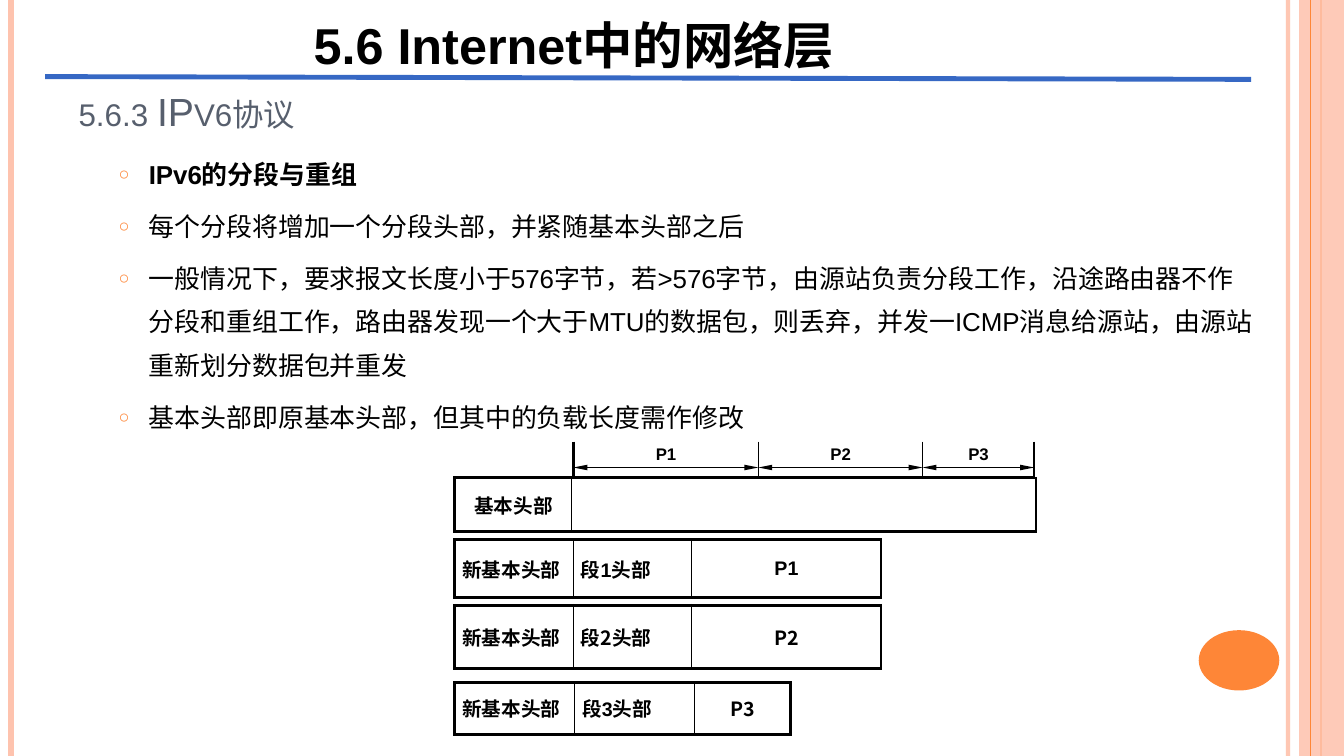
from pptx import Presentation
from pptx.dml.color import RGBColor
from pptx.enum.shapes import MSO_CONNECTOR, MSO_SHAPE
from pptx.enum.text import MSO_ANCHOR as Anchor, PP_ALIGN as Align
from pptx.oxml.ns import qn
from pptx.oxml.xmlchemy import OxmlElement
from pptx.util import Cm, Pt

ARIAL, NOTO = "Arial", "Noto Sans CJK SC"
BLACK, ORANGE, PEACH = "000000", "FE8637", "FEC3AE"
BLUE, SLATE = "3668C4", "575F6D"
WIDTH, HEIGHT = 33.87, 19.05

TITLE = "5.6 Internet中的网络层"
SUBTITLE = "5.6.3 IPv6协议"
BULLETS = [
    "IPv6的分段与重组",
    "每个分段将增加一个分段头部，并紧随基本头部之后",
    "一般情况下，要求报文长度小于576字节，若>576字节，由源站负责分段工作，"
    "沿途路由器不作分段和重组工作，路由器发现一个大于MTU的数据包，则丢弃，"
    "并发一ICMP消息给源站，由源站重新划分数据包并重发",
    "基本头部即原基本头部，但其中的负载长度需作修改",
]

# x, colour, width in points, opacity in percent
SIDE_LINES = [(32.46, PEACH, 3, 93), (0.28, PEACH, 4.5, 100),
              (33.3, ORANGE, 1.5, 100), (33.02, ORANGE, 0.75, 100)]

PACKET_LEFT = 11.46
LEFT, CENTER = Align.LEFT, Align.CENTER
# top, height, cells of (text, width, alignment, font)
PACKETS = [
    (17.2, 1.3, [("新基本头部", 3.02, LEFT, ARIAL), ("段3头部", 3.02, LEFT, ARIAL),
                 ("P3", 2.43, CENTER, NOTO)]),
    (15.25, 1.6, [("新基本头部", 2.99, LEFT, NOTO), ("段2头部", 2.98, LEFT, NOTO),
                  ("P2", 4.77, CENTER, NOTO)]),
    (13.6, 1.45, [("新基本头部", 2.99, LEFT, ARIAL), ("段1头部", 2.98, LEFT, ARIAL),
                  ("P1", 4.77, CENTER, ARIAL)]),
    (12.04, 1.35, [("基本头部", 2.95, CENTER, NOTO), ("", 11.7, CENTER, NOTO)]),
]
RULER_LEFT, RULER_TOP, RULER_HEIGHT, ARROW_Y = 14.45, 11.13, 0.91, 11.78
RULER = [("P1", 4.66, CENTER, ARIAL), ("P2", 4.14, CENTER, ARIAL),
         ("P3", 2.81, CENTER, ARIAL)]

presentation = Presentation()
presentation.slide_width, presentation.slide_height = Cm(WIDTH), Cm(HEIGHT)
slide = presentation.slides.add_slide(presentation.slide_layouts[6])


def color(hex_string):
    return RGBColor.from_string(hex_string)


def add_child(parent, tag, **attributes):
    child = OxmlElement(tag)
    for name, value in attributes.items():
        child.set(name, str(value))
    parent.append(child)
    return child


def set_opacity(fill_parent, percent):
    if percent < 100:
        add_child(fill_parent.find(".//" + qn("a:srgbClr")), "a:alpha", val=percent * 1000)


def add_text(paragraph, text, size, font=ARIAL, hex_color=BLACK, bold=False):
    run = paragraph.add_run()
    run.text = text
    for name, value in dict(size=Pt(size), name=font, bold=bold).items():
        setattr(run.font, name, value)
    run.font.color.rgb = color(hex_color)
    add_child(run.font._element, "a:ea", typeface=NOTO)
    return run


def add_line(x1, y1, x2, y2, hex_color, width, opacity=100, arrows=False):
    line = slide.shapes.add_connector(MSO_CONNECTOR.STRAIGHT, Cm(x1), Cm(y1), Cm(x2), Cm(y2))
    line.line.color.rgb = color(hex_color)
    line.line.width = Pt(width)
    properties = line._element.spPr
    set_opacity(properties, opacity)
    if arrows:
        for tag in ("a:headEnd", "a:tailEnd"):
            add_child(properties.find(qn("a:ln")), tag, type="triangle", w="sm", len="lg")
    add_child(properties, "a:effectLst")


def add_plain_shape(kind, box, hex_color, opacity=100):
    shape = slide.shapes.add_shape(kind, *map(Cm, box))
    shape.shadow.inherit = False
    shape.fill.solid()
    shape.fill.fore_color.rgb = color(hex_color)
    shape.line.fill.background()
    set_opacity(shape._element.spPr, opacity)


def add_text_box(box, wrap=True, anchor=Anchor.TOP):
    frame = slide.shapes.add_textbox(*map(Cm, box)).text_frame
    frame.word_wrap, frame.vertical_anchor = wrap, anchor
    return frame


def add_bullet(paragraph):
    properties = paragraph._p.get_or_add_pPr()
    properties.set("marL", str(Cm(0.76)))
    properties.set("indent", str(-Cm(0.76)))
    add_child(add_child(properties, "a:buClr"), "a:srgbClr", val=ORANGE)
    add_child(properties, "a:buSzPct", val=70000)
    add_child(properties, "a:buFont", typeface=ARIAL)
    add_child(properties, "a:buChar", char="○")


def set_borders(cell, widths):
    """Draw cell edges; a width of 0 hides the edge."""
    properties = cell._tc.get_or_add_tcPr()
    for side in "LRTB":
        width = widths[side]
        edge = add_child(properties, "a:ln" + side, w=Pt(width))
        if width:
            add_child(add_child(edge, "a:solidFill"), "a:srgbClr", val=BLACK)
        else:
            add_child(edge, "a:noFill")


def add_packet(left, top, height, cells, size=14, anchor=Anchor.MIDDLE, top_border=2.25):
    total = sum(cell[1] for cell in cells)
    frame = slide.shapes.add_table(1, len(cells), Cm(left), Cm(top), Cm(total), Cm(height))
    table = frame.table
    table.first_row = table.horz_banding = False
    table.rows[0].height = Cm(height)
    last = len(cells) - 1
    for index, (text, width, alignment, font) in enumerate(cells):
        table.columns[index].width = Cm(width)
        cell = table.cell(0, index)
        margins = dict(margin_left=0.19, margin_right=0.18, margin_top=0.1, margin_bottom=0.1)
        for name, value in margins.items():
            setattr(cell, name, Cm(value))
        cell.vertical_anchor = anchor
        set_borders(cell, dict(L=1 if index else 2.25, R=2.25 if index == last else 1,
                               T=top_border if text else 1, B=2.25))
        cell.fill.background()
        paragraph = cell.text_frame.paragraphs[0]
        paragraph.alignment = alignment
        if text:
            add_text(paragraph, text, size, font, bold=True)


for x, hex_color, width, opacity in SIDE_LINES[:3]:
    add_line(x, 0, x, HEIGHT, hex_color, width, opacity)
add_plain_shape(MSO_SHAPE.RECTANGLE, (32.74, 0, 1.13, HEIGHT), PEACH, 87)
x, hex_color, width, opacity = SIDE_LINES[3]
add_line(x, 0, x, HEIGHT, hex_color, width, opacity)
add_plain_shape(MSO_SHAPE.OVAL, (30.21, 15.88, 2.03, 1.52), ORANGE)

body = add_text_box((2.74, 3.56, 29.21, 7.65))
for index, text in enumerate(BULLETS):
    paragraph = body.add_paragraph() if index else body.paragraphs[0]
    paragraph.line_spacing = 1.4
    if index:
        paragraph.space_before = Pt(6)
    add_bullet(paragraph)
    add_text(paragraph, text, 18.5, bold=index == 0)

for top, height, cells in PACKETS:
    add_packet(PACKET_LEFT, top, height, cells)
add_packet(RULER_LEFT, RULER_TOP, RULER_HEIGHT, RULER, 12, Anchor.TOP, 0)
start = RULER_LEFT
for _, width, _, _ in RULER:
    add_line(start, ARROW_Y, start + width, ARROW_Y, BLACK, 0.75, arrows=True)
    start += width

subtitle = add_text_box((1.73, 1.5, 25.65, 2.01), anchor=Anchor.BOTTOM)
run = add_text(subtitle.paragraphs[0], SUBTITLE, 28, hex_color=SLATE)
run.font._element.set("cap", "small")
add_line(1.14, 1.93, 31.53, 2, BLUE, 3.5)
title = add_text_box((7.11, -0.08, 14.71, 2.11), wrap=False)
paragraph = title.paragraphs[0]
paragraph.alignment, paragraph.line_spacing = CENTER, 1.2
add_text(paragraph, TITLE, 36, bold=True)

presentation.save("out.pptx")
